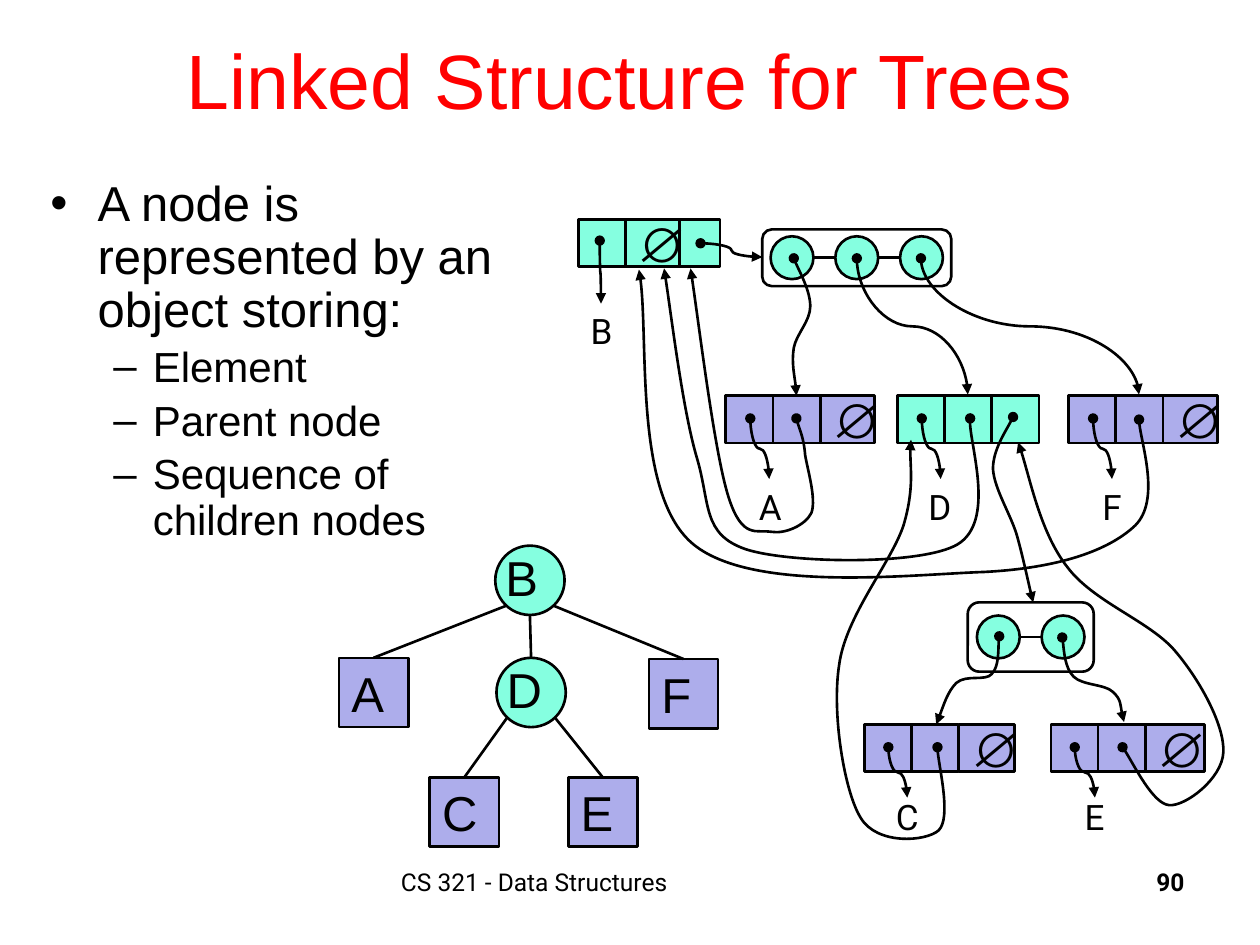
from lxml.etree import SubElement
from pptx import Presentation
from pptx.dml.color import RGBColor
from pptx.enum.shapes import MSO_CONNECTOR as Link, MSO_SHAPE as Preset
from pptx.enum.text import MSO_ANCHOR as Anchor, MSO_AUTO_SIZE as AutoSize, PP_ALIGN as Align
from pptx.oxml.ns import qn
from pptx.util import Pt

COLORS = {"title": "FF0000", "ink": "000000", "internal": "85FFE0", "leaf": "ADADEB"}
LINE_WIDTH = 1.5
FIELD = 27      # side of one field of a record
CIRCLE = 24.5   # entry in a sequence of children
NODE = 39.6     # node in the tree

# name, left, top, kind, null field, its width, pointer start, pointer run, label width, label shift
RECORDS = [
    ("B", 0, 0, "internal", 1, 31, (12.2, 12.2), (0.7, 36), 26, 0),
    ("A", 84.2, 100.8, "leaf", 2, 31, (14, 13), (10.8, 34.6), 26, 0),
    ("D", 182.2, 100.8, "internal", None, 0, (14, 13), (10.8, 34.6), 28, 0),
    ("F", 280.1, 100.8, "leaf", 2, 31, (14, 13), (10.8, 34.6), 25, 0),
    ("C", 163.4, 288.7, "leaf", 2, 32, (13.7, 13), (10.8, 28.8), 27, -5),
    ("E", 270, 288.7, "leaf", 2, 34, (13.7, 13), (11.5, 28.8), 26, -5),
]

# Bézier pointers: a start point, then three points for each segment
POINTERS = {
    "A to parent": [
        (124.6, 113.8), (125.3, 117.4), (128.9, 125.3), (129.6, 134.6),
        (131, 143.3), (136.1, 159.8), (133.2, 167.8), (129.6, 175), (118.1, 180), (110.2, 178.6),
        (102.2, 177.1), (93.6, 183.6), (85.7, 158.4), (77.8, 133.2), (68.4, 55.4), (64.1, 28.1)],
    "D to parent": [
        (223.9, 113.8), (222.5, 125.3), (238.3, 172.8), (216.7, 185.8),
        (195.8, 198), (120.2, 196.6), (95.8, 188.6), (70.6, 180), (75.6, 162.7), (67.7, 136.1),
        (59.8, 109.4), (52.6, 50.4), (49, 28.1)],
    "F to parent": [
        (320.4, 114.5), (320.4, 124.6), (332.6, 160.6), (318.2, 175),
        (303.1, 189.4), (274.3, 199.4), (231.8, 201.6), (189.4, 203), (97.9, 213.8), (64.8, 185),
        (31.7, 156.2), (41, 61.2), (34.6, 28.8)],
    "D to children": [
        (248.4, 113), (246.2, 118.1), (236.9, 131.8), (236.9, 142.6),
        (237.6, 154.1), (247, 168.5), (250.6, 180.7), (254.2, 193.7), (257.8, 211), (259.9, 218.9)],
    "entry to E": [
        (276.5, 239), (277.2, 242.6), (277.9, 256.3), (283, 261.4),
        (288, 266.4), (301, 265.7), (305.3, 270), (310.3, 274.3), (310.3, 283.7), (311.8, 287.3)],
    "entry to C": [
        (240.5, 238.3), (239.8, 241.9), (240.5, 255.6), (236.2, 259.9),
        (232.6, 264.2), (221.8, 259.9), (216, 265), (211, 270), (206.6, 283.7), (204.5, 288.7)],
    "entry to A": [
        (123.1, 22.3), (124.6, 26.6), (132.5, 41), (132.5, 49.7),
        (132.5, 58.3), (124.6, 65.5), (123.1, 73.4), (121.7, 82.1), (124.6, 95), (124.6, 100.8)],
    "C to parent": [
        (205.2, 301.7), (205.2, 309.6), (213.1, 342), (205.9, 349.2),
        (198.7, 355.7), (170.6, 357.8), (161.3, 342), (151.9, 326.9), (144.7, 282.2), (149, 254.9),
        (152.6, 226.8), (178.6, 196.6), (185.8, 175), (192.2, 153.4), (188.6, 136.1), (190.1, 126)],
    "E to parent": [
        (311, 301.7), (315.4, 307.4), (328.3, 334.1), (337.7, 334.8),
        (347, 335.5), (367.9, 319.7), (368.6, 304.6), (369.4, 290.2), (356.4, 264.9), (341.3, 247),
        (326.9, 229.7), (294.5, 218.9), (279.4, 198.7), (264.2, 179.3), (257, 142.6), (251.3, 127.4)],
}


def rgb(name):
    return RGBColor.from_string(COLORS[name])


def write(paragraph, text, size, font="Arial", color="ink", bold=False, align=None, before=None):
    run = paragraph.add_run()
    run.text = text
    run.font.size, run.font.name, run.font.bold = Pt(size), font, bold
    run.font.color.rgb = rgb(color)
    if align is not None:
        paragraph.alignment = align
    if before is not None:
        paragraph.space_before = Pt(before)


def place(shape, box):
    shape.left, shape.top, shape.width, shape.height = map(Pt, box)


def add_text(shapes, box, text, size, wrap=False, **style):
    frame = shapes.add_textbox(*map(Pt, box)).text_frame
    frame.word_wrap = wrap
    write(frame.paragraphs[0], text, size, **style)


def outline(shape, arrow=False):
    shape.line.color.rgb = rgb("ink")
    shape.line.width = Pt(LINE_WIDTH)
    if arrow:
        line = shape.line._get_or_add_ln()
        SubElement(line, qn("a:headEnd"), type="oval")
        SubElement(line, qn("a:tailEnd"), type="triangle")


def add_box(shapes, preset, box, fill=None, text=None):
    shape = shapes.add_shape(preset, *map(Pt, box))
    shape.shadow.inherit = False
    outline(shape)
    if fill:
        shape.fill.solid()
        shape.fill.fore_color.rgb = rgb(fill)
    else:
        shape.fill.background()
    if text:
        frame = shape.text_frame
        frame.word_wrap, frame.vertical_anchor = False, Anchor.MIDDLE
        if preset == Preset.OVAL:
            frame.margin_left = frame.margin_right = frame.margin_top = 0
        write(frame.paragraphs[0], text, 28, align=Align.LEFT, before=5.6)
    return shape


def add_link(shapes, start, end, kind=Link.STRAIGHT, vertical=False):
    (x1, y1), (x2, y2) = start, end
    link = shapes.add_connector(kind, Pt(x1), Pt(y1), Pt(x2), Pt(y2))
    if vertical:  # a curve that leaves downwards is turned about its centre
        run, drop = x2 - x1, y2 - y1
        place(link, ((x1 + x2 - drop) / 2, (y1 + y2 - run) / 2, drop, run))
        frame = link._element.spPr.find(qn("a:xfrm"))
        frame.set("rot", "16200000")
        frame.set("flipH", "1")
    outline(link, arrow=kind == Link.CURVE)
    SubElement(link._element.spPr, qn("a:effectLst"))


def add_pointer(shapes, points):
    points = [(Pt(x), Pt(y)) for x, y in points]
    builder = shapes.build_freeform(*points[0])
    builder.add_line_segments(points[1:], close=False)
    shape = builder.convert_to_shape()
    steps = list(shape._element.iter(qn("a:lnTo")))
    for index in range(0, len(steps), 3):
        curve = SubElement(steps[index].getparent(), qn("a:cubicBezTo"))
        for step in steps[index:index + 3]:
            curve.append(step[0])
            step.getparent().remove(step)
    shape.shadow.inherit = False
    shape.fill.background()
    outline(shape, arrow=True)


def draw_heading(slide, box):
    title = slide.shapes.title
    place(title, box)
    title.text_frame.auto_size = AutoSize.NONE
    title.text_frame.vertical_anchor = Anchor.MIDDLE
    write(title.text_frame.paragraphs[0], "Linked Structure for Trees", 44, color="title", align=Align.CENTER)


def draw_list(slide, box):
    body = slide.placeholders[1]
    place(body, box)
    frame = body.text_frame
    frame.auto_size = AutoSize.NONE
    items = ["A node is represented by an object storing:",
             "Element", "Parent node", "Sequence of children nodes"]
    for index, item in enumerate(items):
        paragraph = frame.add_paragraph() if index else frame.paragraphs[0]
        paragraph.level = min(index, 1)
        paragraph.line_spacing = 0.9
        write(paragraph, item, 24 if index else 28)


def draw_tree(slide, left, top):
    shapes = slide.shapes.add_group_shape().shapes
    nodes = {"B": (89.3, 0), "D": (90, 64.1), "A": (0, 64.1),
             "C": (51.8, 132.5), "E": (131, 132.5), "F": (177.1, 64.8)}
    for name, (x, y) in nodes.items():
        preset, fill = (Preset.OVAL, "internal") if name in "BD" else (Preset.RECTANGLE, "leaf")
        add_box(shapes, preset, (left + x, top + y, NODE, NODE), fill, name)
    # Child, parent, and where the edge meets the parent
    for child, parent, across, down in [("E", "D", 0.85, 0.87), ("C", "D", 0.15, 0.87), ("A", "B", 0.15, 0.87),
                                        ("D", "B", 0.5, 1), ("F", "B", 0.85, 0.87)]:
        (x1, y1), (x2, y2) = nodes[child], nodes[parent]
        add_link(shapes, (left + x1 + NODE / 2, top + y1),
                 (left + x2 + across * NODE, top + y2 + down * NODE))


def draw_sequence(shapes, box, count, pitch=37):
    left, top, width, height = box
    add_box(shapes, Preset.ROUNDED_RECTANGLE, box)
    first = left + (width - (count - 1) * pitch - CIRCLE) / 2
    last, middle = first + (count - 1) * pitch, top + height / 2
    add_link(shapes, (first + CIRCLE, middle), (last, middle))
    for index in range(count):
        add_box(shapes, Preset.OVAL, (first + index * pitch, middle - CIRCLE / 2, CIRCLE, CIRCLE), "internal")


def draw_record(shapes, left, top, name, kind, null, null_width, start, run, label_width, shift):
    for index in sorted(range(3), key=lambda field: field == null):
        empty = index == null
        add_box(shapes, Preset.RECTANGLE, (left + index * FIELD, top, null_width if empty else FIELD, FIELD),
                kind, "∅" if empty else None)
    x, y = left + start[0], top + start[1]
    end_x, end_y = x + run[0], y + run[1]
    add_link(shapes, (x, y), (end_x, end_y), Link.CURVE, vertical=True)
    add_text(shapes, (end_x - label_width / 2, end_y + shift, label_width, 31), name, 20, font="Roboto", before=4)


def draw_linked_structure(slide, left, top):
    shapes = slide.shapes.add_group_shape().shapes
    draw_sequence(shapes, (left + 105.1, top + 5.8, 108, 32.4), 3)
    draw_sequence(shapes, (left + 222.5, top + 218.9, 72, 39.6), 2)
    for name, x, y, *details in RECORDS:
        draw_record(shapes, left + x, top + y, name, *details)
    # Root to its children, then the children to D and F
    for x1, y1, x2, y2, vertical in [(69.8, 13.7, 105.1, 21.6, False), (159.1, 22.3, 222.5, 100.1, True),
                                     (195.8, 22.3, 320.4, 100.1, True)]:
        add_link(shapes, (left + x1, top + y1), (left + x2, top + y2), Link.CURVE, vertical)
    for points in POINTERS.values():
        add_pointer(shapes, [(left + x, top + y) for x, y in points])


def draw_footer(slide, top):
    add_text(slide.shapes, (222, top, 276, 36), "CS 321 - Data Structures", 14, wrap=True, font="Roboto")
    add_text(slide.shapes, (534, top, 150, 36), "90", 14, wrap=True, font="Roboto", bold=True, align=Align.RIGHT)


def main():
    presentation = Presentation()
    presentation.slide_width, presentation.slide_height = Pt(720), Pt(540)
    slide = presentation.slides.add_slide(presentation.slide_layouts[1])
    draw_footer(slide, 492)
    draw_heading(slide, (54, 0, 612, 90))
    draw_list(slide, (21.6, 98.6, 272, 222))
    draw_tree(slide, 193.7, 311.8)
    draw_linked_structure(slide, 330.5, 125.3)
    presentation.save("out.pptx")


if __name__ == "__main__":
    main()
